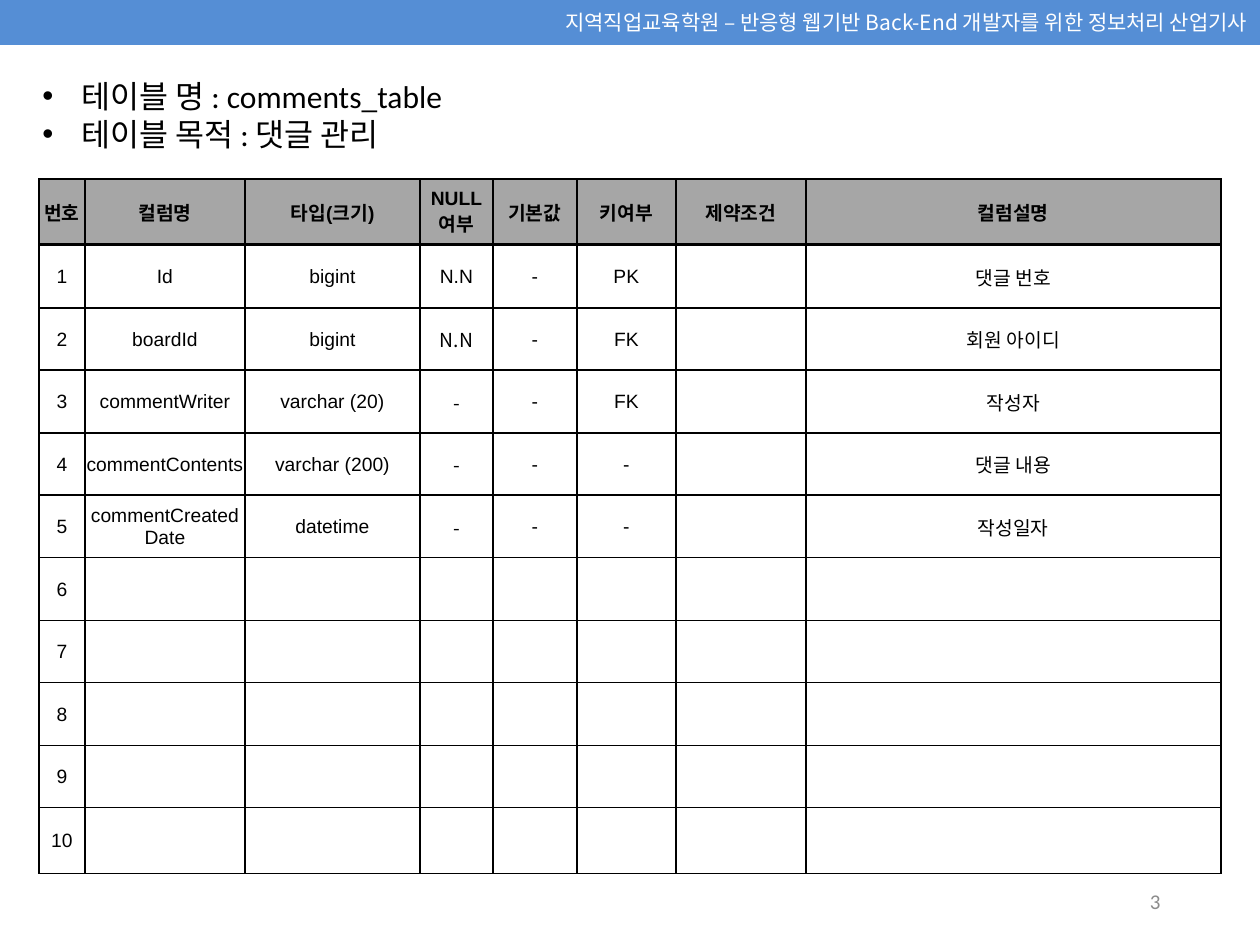
"""Build the comments table definition slide."""
from itertools import pairwise

from lxml.etree import SubElement
from pptx import Presentation
from pptx.dml.color import RGBColor
from pptx.enum.shapes import MSO_SHAPE
from pptx.enum.text import MSO_ANCHOR, PP_ALIGN
from pptx.oxml.ns import qn
from pptx.util import Emu, Pt

SCALE = 914400 // 126
KOREAN = "Noto Sans CJK KR"
MIDDLE = {"vertical_anchor": MSO_ANCHOR.MIDDLE}
INSETS = {"margin_left": 1, "margin_right": 1, "margin_top": 1, "margin_bottom": 0}
COLS = [39, 85, 245, 420, 493, 577, 676, 806, 1221]
ROWS = [179, *[round(245 + 62.6 * i) for i in range(10)], 874]
HEADS = ["번호", "컬럼명", "타입(크기)", "NULL 여부", "기본값", "키여부", "제약조건", "컬럼설명"]
FIELDS = [
    ["Id", "bigint", "N.N", "-", "PK", "", "댓글 번호"],
    ["boardId", "bigint", "N.N", "-", "FK", "", "회원 아이디"],
    ["commentWriter", "varchar (20)", "-", "-", "FK", "", "작성자"],
    ["commentContents", "varchar (200)", "-", "-", "-", "", "댓글 내용"],
    ["commentCreatedDate", "datetime", "-", "-", "-", "", "작성일자"],
]


def px(*sizes):
    return [Emu(size * SCALE) for size in sizes]


def color(code):
    return RGBColor.from_string(code)


def apply(target, values):
    for name, value in values.items():
        setattr(target, name, value)


def write(para, text, size, face, code="000000", align=PP_ALIGN.LEFT, bold=False):
    para.alignment = align
    run = para.add_run()
    run.text = text
    apply(run.font, {"size": Pt(size), "name": face, "bold": bold})
    run.font.color.rgb = color(code)
    SubElement(run.font._element, qn("a:ea"), typeface=KOREAN)


def banner(slide, text):
    bar = slide.shapes.add_shape(MSO_SHAPE.RECTANGLE, *px(0, 0, 1260, 45))
    bar.shadow.inherit = False
    bar.fill.solid()
    bar.fill.fore_color.rgb = color("558ED5")
    bar.line.fill.background()
    apply(bar.text_frame, MIDDLE)
    write(bar.text_frame.paragraphs[0], text, 12, KOREAN, "FFFFFF", PP_ALIGN.RIGHT)


def frame(slide, *box):
    text = slide.shapes.add_textbox(*px(*box)).text_frame
    text.word_wrap = True
    return text


def bullets(slide, lines):
    text = frame(slide, 30, 71, 1196, 87)
    for i, line in enumerate(lines):
        para = text.add_paragraph() if i else text.paragraphs[0]
        write(para, line, 18, "Calibri")
        props = para._p.get_or_add_pPr()
        indent, = px(39)
        props.set("marL", str(indent))
        props.set("indent", str(-indent))
        SubElement(props, qn("a:buFont"), typeface="Arial")
        SubElement(props, qn("a:buChar"), char="•")


def border(cell, widths):
    props = cell._tc.get_or_add_tcPr()
    for i, (side, width) in enumerate(widths.items()):
        line = props.makeelement(qn(f"a:ln{side}"), {"w": str(Pt(width))})
        fill = SubElement(line, qn("a:solidFill"))
        SubElement(fill, qn("a:srgbClr"), val="000000")
        props.insert(i, line)


def fill_cell(cell, text, face, head, top, bottom):
    apply(cell, MIDDLE | {name: px(size)[0] for name, size in INSETS.items()})
    if head:
        cell.fill.solid()
        cell.fill.fore_color.rgb = color("A6A6A6")
    else:
        cell.fill.background()
    border(cell, {"L": 1, "R": 1, "T": top, "B": bottom})
    if text:
        write(cell.text_frame.paragraphs[0], text, 11, face, align=PP_ALIGN.CENTER, bold=head)


def grid(slide):
    box = px(COLS[0], ROWS[0], COLS[-1] - COLS[0], ROWS[-1] - ROWS[0])
    table = slide.shapes.add_table(len(ROWS) - 1, len(COLS) - 1, *box).table
    apply(table, {"first_row": False, "horz_banding": False})
    for col, (left, right) in zip(table.columns, pairwise(COLS)):
        col.width, = px(right - left)
    for row, (top, bottom) in zip(table.rows, pairwise(ROWS)):
        row.height, = px(bottom - top)
    blank = [""] * (len(HEADS) - 1)
    data = FIELDS + [blank] * (len(ROWS) - 2 - len(FIELDS))
    lines = [HEADS] + [[str(i), *line] for i, line in enumerate(data, 1)]
    for r, line in enumerate(lines):
        for c, text in enumerate(line):
            face = KOREAN if c == 3 and r > 1 else "Arial"
            top, bottom = 2 if r == 1 else 1, 2 if r == 0 else 1
            fill_cell(table.cell(r, c), text, face, r == 0, top, bottom)


def number(slide, text):
    box = frame(slide, 890, 876, 283, 50)
    apply(box, MIDDLE)
    write(box.paragraphs[0], text, 12, "Calibri", "8C8C8C", PP_ALIGN.RIGHT)


def main():
    deck = Presentation()
    deck.slide_width, deck.slide_height = px(1260, 945)
    slide = deck.slides.add_slide(deck.slide_layouts[6])
    banner(slide, "지역직업교육학원 – 반응형 웹기반 Back-End 개발자를 위한 정보처리 산업기사")
    number(slide, "3")
    bullets(slide, ["테이블 명 : comments_table", "테이블 목적 : 댓글 관리"])
    grid(slide)
    deck.save("out.pptx")


main()
